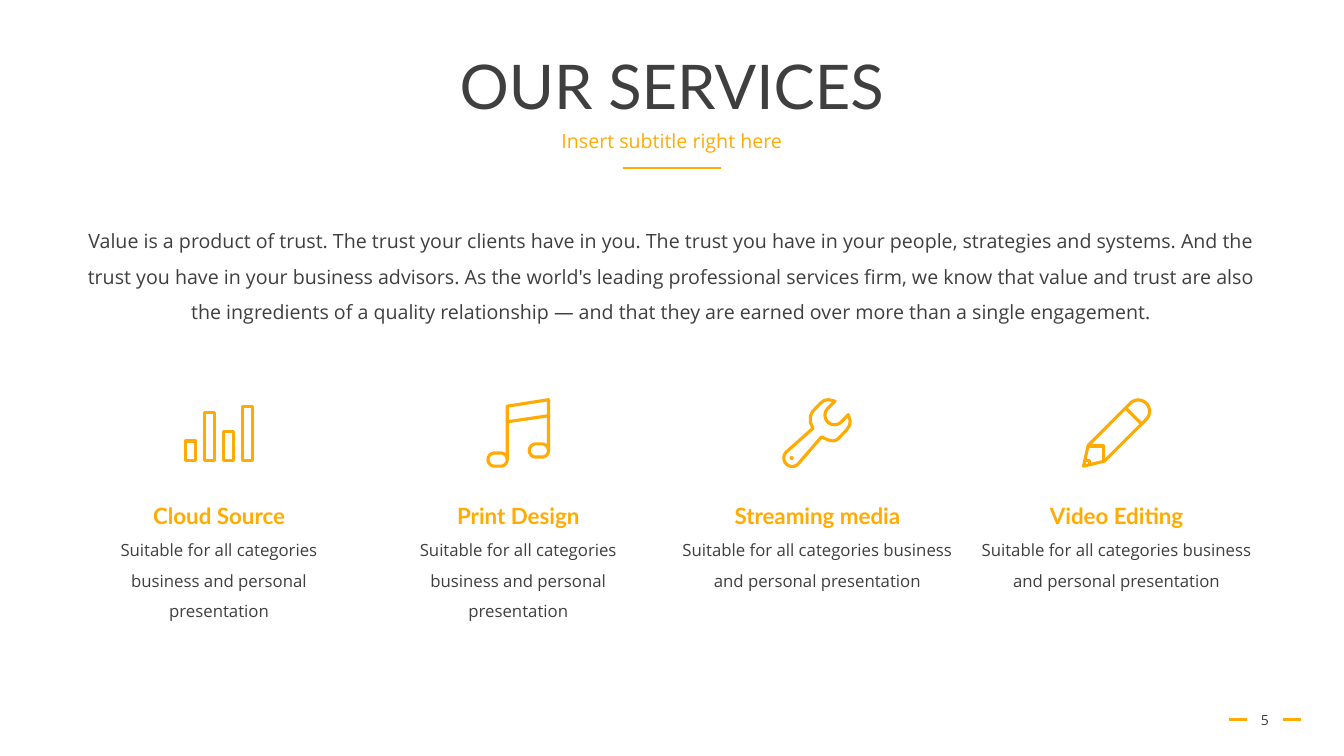
import math

import pptx
import pptx.dml.color
import pptx.enum.shapes
import pptx.enum.text
import pptx.oxml.ns
import pptx.util
from lxml import etree

Pt = pptx.util.Pt
ANCHOR = pptx.enum.text.MSO_ANCHOR
AMBER = pptx.dml.color.RGBColor(0xFF, 0xAB, 0x03)
CHARCOAL = pptx.dml.color.RGBColor(0x3F, 0x3F, 0x3F)

INTRO = (
    "Value is a product of trust. The trust your clients have in you. "
    "The trust you have in your people, strategies and systems. "
    "And the trust you have in your business advisors. "
    "As the world's leading professional services firm, we know that value and trust "
    "are also the ingredients of a quality relationship — and that they are earned "
    "over more than a single engagement."
)
SERVICE_TEXT = "Suitable for all categories business and personal presentation"
FIRST_CENTER, COLUMN_STEP = 156.6, 213.8
ICON_TOP = 284.4


def arc(x, y, radius, start, end, steps=24):
    """Points on a circle, angles in degrees, clockwise from the right."""
    angles = [math.radians(start + (end - start) * i / steps) for i in range(steps + 1)]
    return [(x + radius * math.cos(a), y + radius * math.sin(a)) for a in angles]


# An icon is a list of (points, closed) outlines, measured from its top left.
def bars_icon():
    outlines = []
    for i, top in enumerate((30.6, 10.4, 24.1, 6.1)):
        left = 1.1 + 13.4 * i
        right, bottom = left + 7.2, 44.3
        outlines.append(([(left, top), (right, top), (right, bottom), (left, bottom)], True))
    return outlines


def note_icon():
    stems = [(14.8, 43.9), (14.8, 5.8), (44.3, 1.1), (44.3, 37.4)]
    outlines = [(stems, False), ([(14.8, 16.9), (44.3, 12.6)], False)]
    for right, middle in (stems[0], stems[-1]):
        head = arc(right - 9, middle, 4.7, 90, 270) + arc(right - 4.7, middle, 4.7, -90, 90)
        outlines.append((head, True))
    return outlines


def wrench_icon():
    jaw = [(37.8, 2.2)] + arc(37.4, 12.2, 6.8, 225, 45)
    lower_side = [(47.2, 11.9), (48.6, 16), (48.2, 19.4), (46.1, 22.7), (40.3, 28.8),
                  (38.4, 30.2), (36, 30.6), (32.4, 29.7), (28.1, 27.7)]
    handle_end = arc(7.2, 42.8, 6, 48, 228)
    upper_side = [(22, 21.6), (20.2, 17.3), (20.2, 13), (21.6, 9.7), (27.4, 3.6),
                  (30.2, 1.6), (33.1, 1.1)]
    return [(jaw + lower_side + handle_end + upper_side, True),
            (arc(6.8, 42.8, 0.3, 0, 360), True)]


def pencil_icon():
    body = arc(40.3, 9.4, 8.1, -135, 45) + [(16.1, 45), (1.2, 48.6), (4.5, 33.8)]
    return [(body, True),
            ([(31.3, 7), (42.7, 18.4)], False),
            ([(4.5, 34.2), (15.5, 34.2), (15.5, 45)], False),
            ([(3, 44.6), (5.2, 44.6), (5.2, 46.8)], False)]


# Heading, width of the text, outlines and width of the icon
SERVICES = [
    ("Cloud Source", 196, bars_icon(), 49.7),
    ("Print Design", 193, note_icon(), 45.4),
    ("Streaming media", 208, wrench_icon(), 50.4),
    ("Video Editing", 208, pencil_icon(), 49.7),
]


def place(shape, left, top, width, height):
    shape.left, shape.top = Pt(left), Pt(top)
    shape.width, shape.height = Pt(width), Pt(height)


def write(box, text, size, font, color, spacing=1.0, bold=False,
          anchor=ANCHOR.TOP, wrap=True):
    frame = box.text_frame
    frame.word_wrap = wrap
    frame.vertical_anchor = anchor
    para = frame.paragraphs[0]
    para.text = text
    para.alignment = pptx.enum.text.PP_ALIGN.CENTER
    para.line_spacing = spacing
    para.font.size = Pt(size)
    para.font.name = font
    para.font.bold = bold
    para.font.color.rgb = color


def add_text(page, bounds, *content, **style):
    box = page.shapes.add_textbox(*map(Pt, bounds))
    write(box, *content, **style)


def add_rule(page, left, right, y):
    rule = page.shapes.add_connector(
        pptx.enum.shapes.MSO_CONNECTOR.STRAIGHT, Pt(left), Pt(y), Pt(right), Pt(y))
    rule.line.color.rgb = AMBER
    rule.line.width = Pt(1.75)
    etree.SubElement(rule._element.spPr, pptx.oxml.ns.qn("a:effectLst"))


def add_icon(page, left, top, outlines):
    """Draw all outlines of an icon as one unfilled shape with round joins."""
    builder = None
    for points, closed in outlines:
        start, *others = [(Pt(left + x), Pt(top + y)) for x, y in points]
        if builder is None:
            builder = page.shapes.build_freeform(*start)
        else:
            builder.move_to(*start)
        builder.add_line_segments(others, close=closed)
    icon = builder.convert_to_shape()
    icon.shadow.inherit = False
    icon.fill.background()
    icon.line.color.rgb = AMBER
    icon.line.width = Pt(2.25)
    outline = icon._element.spPr.find(pptx.oxml.ns.qn("a:ln"))
    etree.SubElement(outline, pptx.oxml.ns.qn("a:round"))


def add_service(page, center, heading, text_width, outlines, icon_width):
    add_icon(page, center - icon_width / 2, ICON_TOP, outlines)
    add_text(page, (center - 67, 355, 134, 26.6), heading, 16, "Lato", AMBER,
             bold=True, wrap=False)
    add_text(page, (center - text_width / 2, 375.1, text_width, 72), SERVICE_TEXT,
             12, "Open Sans", CHARCOAL, spacing=1.5)


def main():
    deck = pptx.Presentation()
    deck.slide_width, deck.slide_height = Pt(960.5), Pt(540)
    page = deck.slides.add_slide(deck.slide_layouts[5])

    title = page.shapes.title
    place(title, 66.2, 28.8, 828, 70.6)
    write(title, "OUR SERVICES", 44, "Lato", CHARCOAL, spacing=0.9, anchor=ANCHOR.MIDDLE)
    add_text(page, (66.2, 90.7, 828, 28.8), "Insert subtitle right here",
             14, "Open Sans", AMBER, spacing=0.9)
    add_rule(page, 445, 515.5, 120.2)

    add_text(page, (50.4, 151.9, 859, 100), INTRO, 14, "Open Sans", CHARCOAL, spacing=1.5)
    for i, service in enumerate(SERVICES):
        add_service(page, FIRST_CENTER + COLUMN_STEP * i, *service)

    add_text(page, (882.7, 499.7, 42.5, 28.8), "5", 10, "Open Sans", CHARCOAL,
             anchor=ANCHOR.MIDDLE)
    for left in (878.4, 917.1):
        add_rule(page, left, left + 12.7, 514.1)

    deck.save("out.pptx")


if __name__ == "__main__":
    main()
